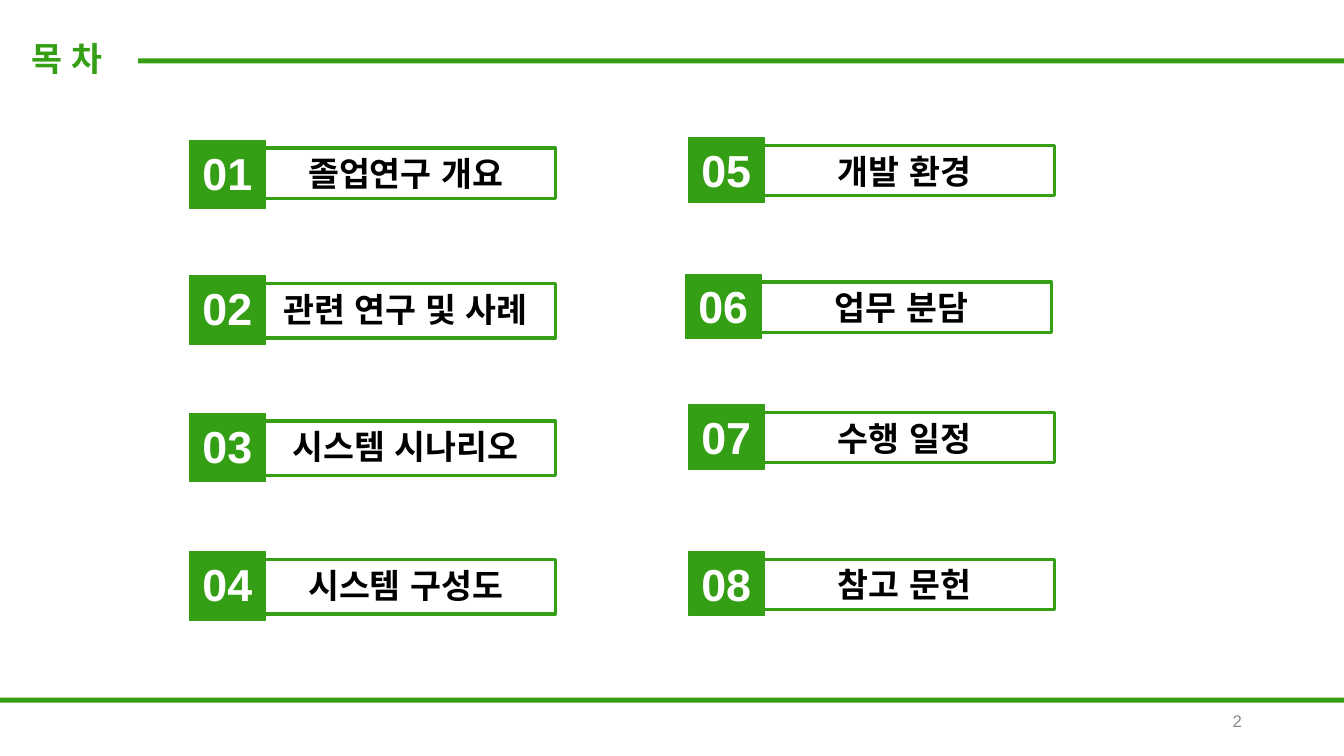
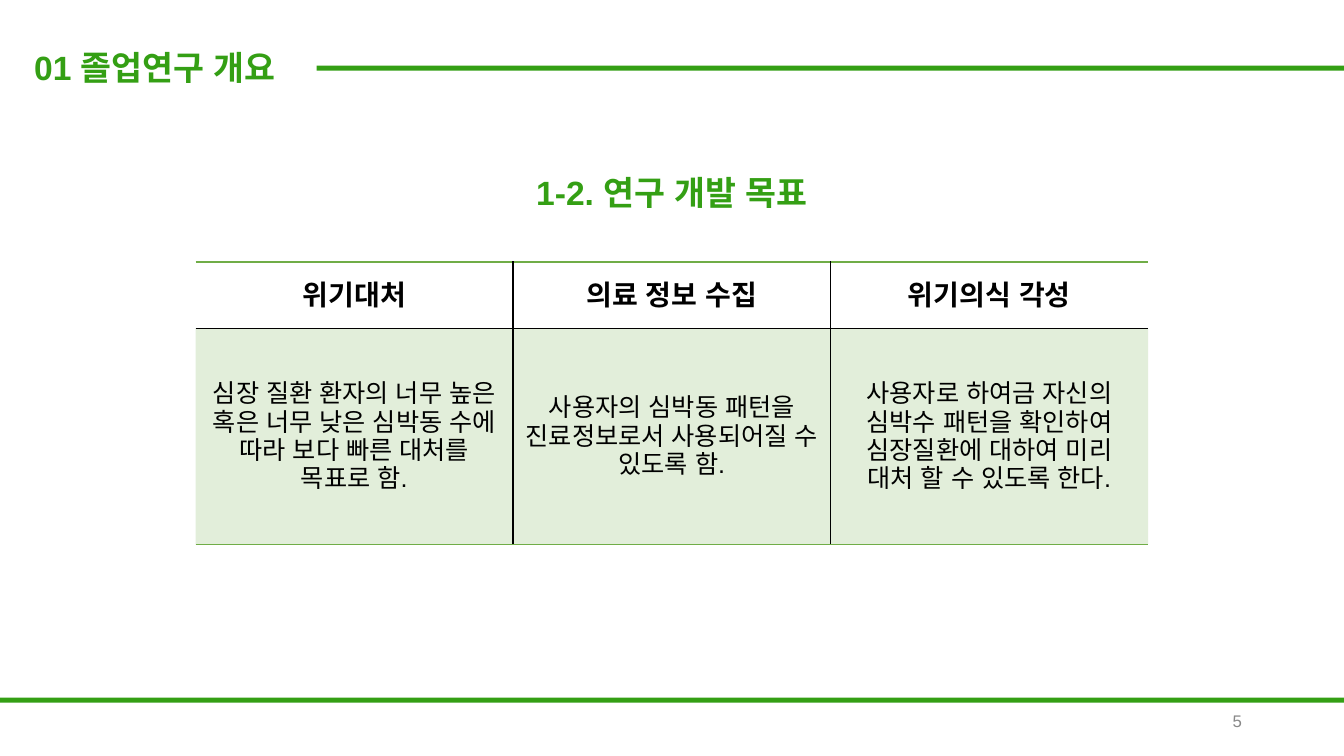
from dataclasses import dataclass
from typing import Optional

from lxml import etree
from pptx import Presentation
from pptx import util as u
from pptx.dml.color import RGBColor
from pptx.enum import lang, shapes, text
from pptx.oxml import ns

CELL = u.Inches(1) // 12
COLUMNS, ROWS = 160, 90


@dataclass(frozen=True)
class Theme:
    font: str = "Arial"
    green: str = "349F14"
    pale_green: str = "70AD47"
    black: str = "000000"
    white: str = "FFFFFF"
    gray: str = "888888"
    badge_size: int = 32
    title_size: int = 24
    header_size: int = 20
    body_size: int = 18
    number_size: int = 12
    fill_alpha: int = 20
    border_width: float = 1
    badge_line: float = 0.75
    label_line: float = 2.25


THEME = Theme()


@dataclass(frozen=True)
class Box:
    column: float
    row: float
    width: float
    height: float

    def lengths(self) -> tuple[int, ...]:
        units = (self.column, self.row, self.width, self.height)
        return tuple(round(unit * CELL) for unit in units)


@dataclass(frozen=True)
class Style:
    size: int
    color: str
    bold: bool = True
    align: text.PP_ALIGN = text.PP_ALIGN.CENTER
    anchor: text.MSO_ANCHOR = text.MSO_ANCHOR.TOP


@dataclass(frozen=True)
class Header:
    title: str
    box: Box
    rule_column: float
    rule_row: float
    number: int


@dataclass(frozen=True)
class Entry:
    label: str
    column: float
    row: float
    badge_height: float
    label_height: float


MIDDLE = text.MSO_ANCHOR.MIDDLE
TITLE = Style(THEME.title_size, THEME.green, align=text.PP_ALIGN.LEFT)
HEADING = Style(THEME.title_size, THEME.green)
BADGE = Style(THEME.badge_size, THEME.white)
LABEL = Style(THEME.title_size, THEME.black)
NUMBER = Style(THEME.number_size, THEME.gray, False, text.PP_ALIGN.RIGHT, MIDDLE)
TABLE_HEADER = Style(THEME.header_size, THEME.black, anchor=MIDDLE)
TABLE_BODY = Style(THEME.body_size, THEME.black, False, anchor=MIDDLE)

RULE_HEIGHT = 0.6
FOOTER_ROW = 83.04
NUMBER_BOX = Box(113.04, 83.4, 36, 4.8)
BADGE_WIDTH, LABEL_WIDTH = 9, 35.64
LABEL_SHIFT, LABEL_DROP = 7.9, 0.92

CONTENTS_HEADER = Header("목 차", Box(2.52, 3.96, 12.12, 6), 16.44, 6.96, 2)
GOALS_HEADER = Header("01 졸업연구 개요", Box(2.88, 5.04, 34.92, 6), 37.68, 7.8, 5)

ENTRIES = (
    Entry("졸업연구 개요", 22.56, 16.7, 8.16, 6),
    Entry("관련 연구 및 사례", 22.56, 32.85, 8.16, 6.48),
    Entry("시스템 시나리오", 22.56, 49.2, 8.16, 6.48),
    Entry("시스템 구성도", 22.56, 65.7, 8.16, 6.48),
    Entry("개발 환경", 81.96, 16.4, 7.68, 6),
    Entry("업무 분담", 81.6, 32.65, 7.68, 6),
    Entry("수행 일정", 81.96, 48.2, 7.68, 6),
    Entry("참고 문헌", 81.96, 65.65, 7.68, 6),
)

GOALS_HEADING = "1-2. 연구 개발 목표"
GOALS_HEADING_BOX = Box(60.84, 19.92, 38.28, 10.92)
GOALS_BOX = Box(23.28, 31.2, 113.4, 33.6)
GOALS_ROW_HEIGHTS = (7.9, 25.7)
GOALS = (
    ("위기대처", "의료 정보 수집", "위기의식 각성"),
    (
        "심장 질환 환자의 너무 높은 혹은 너무 낮은 심박동 수에 따라 보다 빠른 대처를 목표로 함.",
        "사용자의 심박동 패턴을 진료정보로서 사용되어질 수 있도록 함.",
        "사용자로 하여금 자신의 심박수 패턴을 확인하여 심장질환에 대하여 미리 대처 할 수 있도록 한다.",
    ),
)


def color(value: str) -> RGBColor:
    return RGBColor.from_string(value)


def write(text_frame, content: str, style: Style) -> None:
    text_frame.text = content
    text_frame.word_wrap = True
    for paragraph in text_frame.paragraphs:
        paragraph.alignment = style.align
        for run in paragraph.runs:
            font = run.font
            font.name = THEME.font
            font.size = u.Pt(style.size)
            font.bold = style.bold
            font.color.rgb = color(style.color)
            font.language_id = lang.MSO_LANGUAGE_ID.KOREAN
            east_asian = etree.Element(ns.qn("a:ea"), typeface=THEME.font)
            font._element.find(ns.qn("a:latin")).addnext(east_asian)


def add_text(slide, box: Box, content: str, style: Style) -> None:
    text_frame = slide.shapes.add_textbox(*box.lengths()).text_frame
    write(text_frame, content, style)
    text_frame.vertical_anchor = style.anchor


def add_rectangle(slide, box: Box, fill: Optional[str], line_width: float = 0):
    shape = slide.shapes.add_shape(shapes.MSO_SHAPE.RECTANGLE, *box.lengths())
    shape.shadow.inherit = False
    if fill:
        shape.fill.solid()
        shape.fill.fore_color.rgb = color(fill)
    else:
        shape.fill.background()
    if line_width:
        shape.line.color.rgb = color(THEME.green)
        shape.line.width = u.Pt(line_width)
    else:
        shape.line.fill.background()
    return shape


def add_rule(slide, column: float, row: float) -> None:
    add_rectangle(slide, Box(column, row, COLUMNS - column, RULE_HEIGHT), THEME.green)


def add_slide(presentation, header: Header):
    slide = presentation.slides.add_slide(presentation.slide_layouts[6])
    add_rule(slide, header.rule_column, header.rule_row)
    add_text(slide, header.box, header.title, TITLE)
    add_rule(slide, 0, FOOTER_ROW)
    add_text(slide, NUMBER_BOX, str(header.number), NUMBER)
    return slide


def add_entry(slide, number: int, entry: Entry) -> None:
    badge_box = Box(entry.column, entry.row, BADGE_WIDTH, entry.badge_height)
    label_box = Box(entry.column + LABEL_SHIFT, entry.row + LABEL_DROP,
                    LABEL_WIDTH, entry.label_height)
    badge = add_rectangle(slide, badge_box, THEME.green, THEME.badge_line)
    label = add_rectangle(slide, label_box, None, THEME.label_line)
    for shape, content, style in ((badge, f"{number:02d}", BADGE),
                                  (label, entry.label, LABEL)):
        write(shape.text_frame, content, style)
        shape.text_frame.vertical_anchor = style.anchor


def set_borders(cell, borders: dict[str, Optional[str]]) -> None:
    properties = cell._tc.get_or_add_tcPr()
    for index, (side, value) in enumerate(borders.items()):
        line = etree.Element(ns.qn(f"a:ln{side}"))
        if value:
            line.set("w", str(u.Pt(THEME.border_width)))
            solid = etree.SubElement(line, ns.qn("a:solidFill"))
            etree.SubElement(solid, ns.qn("a:srgbClr"), val=value)
        else:
            line.set("w", "0")
            etree.SubElement(line, ns.qn("a:noFill"))
        properties.insert(index, line)


def fill_cell(cell, tinted: bool) -> None:
    if not tinted:
        cell.fill.background()
        return
    cell.fill.solid()
    cell.fill.fore_color.rgb = color(THEME.pale_green)
    tint = cell._tc.tcPr.find(".//" + ns.qn("a:srgbClr"))
    etree.SubElement(tint, ns.qn("a:alpha"), val=str(THEME.fill_alpha * 1000))


def add_goals_table(slide) -> None:
    row_count, column_count = len(GOALS), len(GOALS[0])
    frame = slide.shapes.add_table(row_count, column_count, *GOALS_BOX.lengths())
    table = frame.table
    table.first_row = table.horz_banding = False
    for row, height in zip(table.rows, GOALS_ROW_HEIGHTS):
        row.height = round(height * CELL)
    for row, contents in enumerate(GOALS):
        style = TABLE_BODY if row else TABLE_HEADER
        for column, content in enumerate(contents):
            cell = table.cell(row, column)
            write(cell.text_frame, content, style)
            cell.vertical_anchor = style.anchor
            fill_cell(cell, tinted=row > 0)
            set_borders(cell, {
                "L": THEME.black if column else None,
                "R": THEME.black if column < column_count - 1 else None,
                "T": THEME.black if row else THEME.pale_green,
                "B": THEME.black if row < row_count - 1 else THEME.pale_green,
            })


def build_contents(presentation) -> None:
    slide = add_slide(presentation, CONTENTS_HEADER)
    for number, entry in enumerate(ENTRIES, start=1):
        add_entry(slide, number, entry)


def build_goals(presentation) -> None:
    slide = add_slide(presentation, GOALS_HEADER)
    add_text(slide, GOALS_HEADING_BOX, GOALS_HEADING, HEADING)
    add_goals_table(slide)


def main() -> None:
    presentation = Presentation()
    presentation.slide_width = COLUMNS * CELL
    presentation.slide_height = ROWS * CELL
    build_contents(presentation)
    build_goals(presentation)
    presentation.save("out.pptx")


if __name__ == "__main__":
    main()
